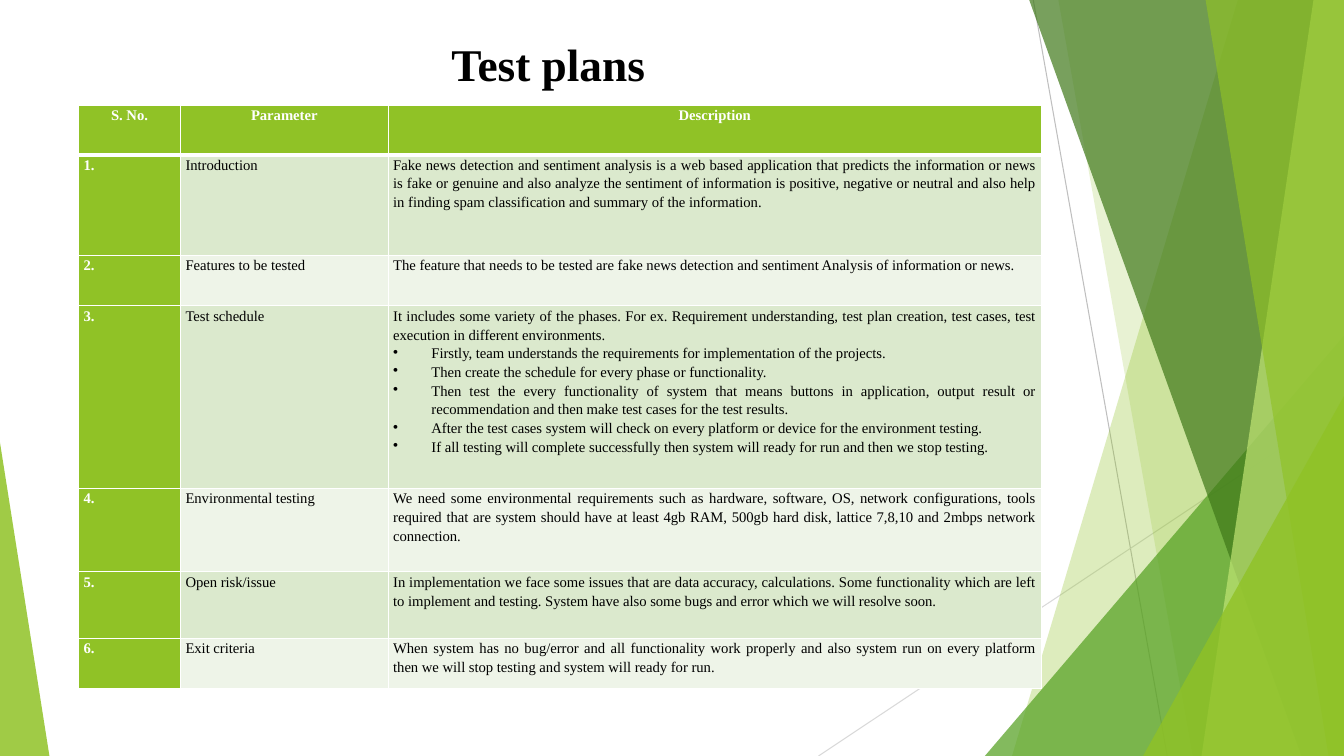
from lxml.etree import SubElement
from pptx import Presentation
from pptx.dml.color import RGBColor
from pptx.enum.shapes import MSO_CONNECTOR, MSO_SHAPE
from pptx.enum.text import MSO_ANCHOR, PP_ALIGN
from pptx.oxml.ns import qn
from pptx.util import Inches, Pt

WHITE = RGBColor(0xFF, 0xFF, 0xFF)
BLACK = RGBColor(0x00, 0x00, 0x00)
LIME = RGBColor(0x90, 0xC2, 0x26)
GREEN = RGBColor(0x54, 0xA0, 0x21)
FOREST = RGBColor(0x3F, 0x78, 0x19)
PALE_LIME = RGBColor(0xC0, 0xE4, 0x74)
BAND_DARK = RGBColor(0xDB, 0xE9, 0xCD)
BAND_LIGHT = RGBColor(0xEE, 0xF4, 0xE8)
GREY = RGBColor(0xBF, 0xBF, 0xBF)
LIGHT_GREY = RGBColor(0xD9, 0xD9, 0xD9)

COLUMN_SHARES = [7.58, 15.45, 48.6]
ROW_SHARES = [6.53, 13.33, 6.67, 24.13, 11.07, 8.8, 6.67]
HEADINGS = ["S. No.", "Parameter", "Description"]
PLANS = [
    ("Introduction",
     "Fake news detection and sentiment analysis is a web based application that predicts the "
     "information or news is fake or genuine and also analyze the sentiment of information is "
     "positive, negative or neutral and also help in finding spam classification and summary of "
     "the information."),
    ("Features to be tested",
     "The feature that needs to be tested are fake news detection and sentiment Analysis of "
     "information or news."),
    ("Test schedule",
     "It includes some variety of the phases. For ex. Requirement understanding, test plan "
     "creation, test cases, test execution in different environments.\n"
     "Firstly, team understands the requirements for implementation of the projects.\n"
     "Then create the schedule for every phase or functionality.\n"
     "Then test the every functionality of system that means buttons in application, output "
     "result or recommendation and then make test cases for the test results.\n"
     "After the test cases system will check on every platform or device for the environment "
     "testing.\n"
     "If all testing will complete successfully then system will ready for run and then we stop "
     "testing."),
    ("Environmental testing",
     "We need some environmental requirements such as hardware, software, OS, network "
     "configurations, tools required that are system should have at least 4gb RAM, 500gb hard "
     "disk, lattice 7,8,10 and 2mbps network connection."),
    ("Open risk/issue",
     "In implementation we face some issues that are data accuracy, calculations. Some "
     "functionality which are left to implement and testing. System have also some bugs and "
     "error which we will resolve soon."),
    ("Exit criteria",
     "When system has no bug/error and all functionality work properly and also system run on "
     "every platform then we will stop testing and system will ready for run."),
]


class SlideBuilder:
    """Holds the style and the current slide; positions are percentages of its size."""

    font_name = "Times New Roman"
    title_size = Pt(32.4)
    table_size = Pt(10.5)

    def __init__(self, deck):
        self.width, self.height = deck.slide_width, deck.slide_height
        self.slide = deck.slides.add_slide(deck.slide_layouts[5])
        self.shapes = self.slide.shapes

    def x(self, share):
        return round(self.width * share / 100)

    def y(self, share):
        return round(self.height * share / 100)

    def style_runs(self, paragraph, size, color, bold):
        for run in paragraph.runs:
            run.font.name, run.font.size = self.font_name, size
            run.font.color.rgb, run.font.bold = color, bold

    def title(self, wording, left, top, width, height):
        heading = self.shapes.title
        heading.left, heading.top = self.x(left), self.y(top)
        heading.width, heading.height = self.x(width), self.y(height)
        frame = heading.text_frame
        frame.text = wording
        frame.vertical_anchor = MSO_ANCHOR.TOP
        frame.margin_top = self.y(1.47)
        frame.paragraphs[0].alignment = PP_ALIGN.CENTER
        self.style_runs(frame.paragraphs[0], self.title_size, BLACK, True)

    def line(self, start, end, color):
        ray = self.shapes.add_connector(
            MSO_CONNECTOR.STRAIGHT, self.x(start[0]), self.y(start[1]),
            self.x(end[0]), self.y(end[1]))
        ray.line.color.rgb, ray.line.width = color, Pt(0.75)
        SubElement(ray.element.spPr, qn("a:effectLst"))

    def paint(self, panel, color, opacity):
        panel.shadow.inherit = False
        panel.line.fill.background()
        panel.fill.solid()
        panel.fill.fore_color.rgb = color
        for tint in panel.element.xpath(".//p:spPr/a:solidFill/a:srgbClr"):
            SubElement(tint, qn("a:alpha"), val=str(opacity * 1000))

    def facet(self, top_left, bottom_left, color, opacity):
        outline = self.shapes.build_freeform(self.x(top_left), 0, scale=1.0)
        outline.add_line_segments([
            (self.width, 0), (self.width, self.height), (self.x(bottom_left), self.height)])
        self.paint(outline.convert_to_shape(), color, opacity)

    def triangle(self, left, top, right, apex, color, opacity):
        corner = self.shapes.add_shape(
            MSO_SHAPE.ISOSCELES_TRIANGLE, self.x(left), self.y(top),
            self.x(right - left), self.y(100 - top))
        corner.adjustments[0] = apex
        self.paint(corner, color, opacity)

    def borders(self, cell, top, bottom):
        properties = cell._tc.get_or_add_tcPr()
        sides = {"a:lnL": 1, "a:lnR": 1, "a:lnT": top, "a:lnB": bottom}
        for position, (side, points) in enumerate(sides.items()):
            edge = SubElement(properties, qn(side), w=str(Pt(points)))
            SubElement(SubElement(edge, qn("a:solidFill")), qn("a:srgbClr"), val=str(WHITE))
            properties.insert(position, edge)

    def bullet(self, paragraph):
        properties = paragraph._p.get_or_add_pPr()
        properties.set("marL", str(Inches(0.38)))
        properties.set("indent", str(-Inches(0.38)))
        SubElement(properties, qn("a:buChar"), char="•")

    def cell(self, cell, wording, fill, color, bold, alignment):
        cell.fill.solid()
        cell.fill.fore_color.rgb = fill
        cell.margin_left = cell.margin_right = Inches(0.05)
        cell.margin_top = cell.margin_bottom = 0
        cell.text_frame.text = wording
        for index, paragraph in enumerate(cell.text_frame.paragraphs):
            paragraph.alignment, paragraph.line_spacing = alignment, 1.15
            self.style_runs(paragraph, self.table_size, color, bold)
            if index:
                self.bullet(paragraph)

    def table(self, rows, left, top):
        grid = self.shapes.add_table(
            len(rows), len(COLUMN_SHARES), self.x(left), self.y(top),
            self.x(sum(COLUMN_SHARES)), self.y(sum(ROW_SHARES))).table
        for column, share in zip(grid.columns, COLUMN_SHARES):
            column.width = self.x(share)
        for r, (wordings, share) in enumerate(zip(rows, ROW_SHARES)):
            grid.rows[r].height = self.y(share)
            for c, wording in enumerate(wordings):
                accent = r == 0 or c == 0
                band = BAND_DARK if r % 2 else BAND_LIGHT
                self.cell(grid.cell(r, c), wording, LIME if accent else band,
                          WHITE if accent else BLACK, accent,
                          PP_ALIGN.JUSTIFY if r else PP_ALIGN.CENTER)
                self.borders(grid.cell(r, c), 3 if r == 1 else 1, 1 if r else 3)


def main():
    deck = Presentation()
    deck.slide_width, deck.slide_height = Inches(13.33), Inches(7.5)
    page = SlideBuilder(deck)
    page.line((76.88, 0), (86.85, 100), GREY)
    page.line((100, 53.73), (60.9, 100), LIGHT_GREY)
    page.facet(92.1, 75.3, LIME, 30)
    page.facet(78.75, 88.73, LIME, 20)
    page.triangle(73.28, 44.4, 100, 1, GREEN, 72)
    page.facet(76.58, 96.83, FOREST, 70)
    page.facet(97.73, 89.4, PALE_LIME, 70)
    page.facet(89.7, 98.85, LIME, 65)
    page.triangle(85.05, 52.4, 100, 1, LIME, 80)
    page.triangle(0, 58.53, 3.68, 0, LIME, 85)
    page.title("Test plans", 5.55, 3.33, 70.5, 10.53)
    numbered = [(f"{number}.", *plan) for number, plan in enumerate(PLANS, 1)]
    page.table([HEADINGS, *numbered], 5.85, 13.93)
    deck.save("out.pptx")


if __name__ == "__main__":
    main()
